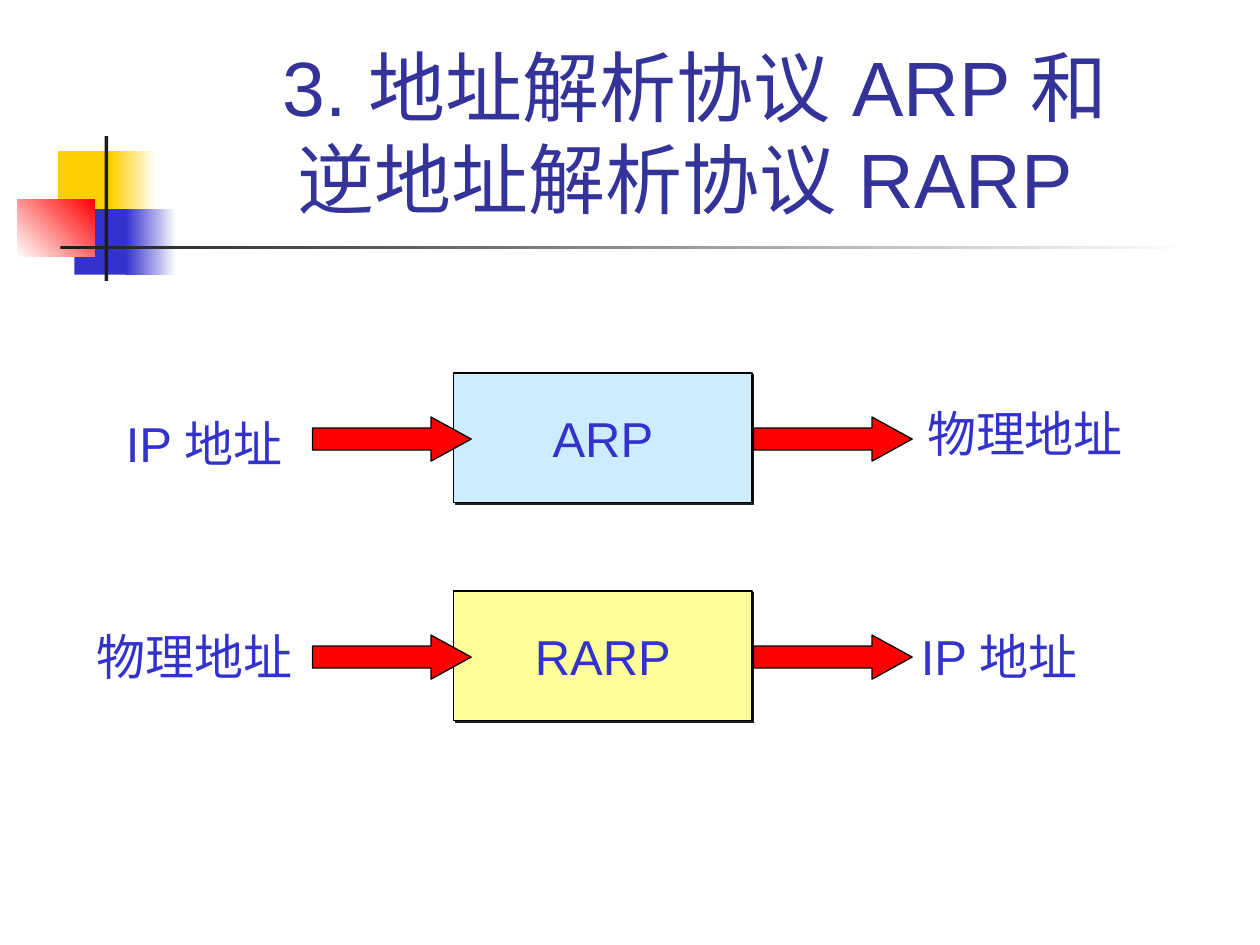
from lxml import etree
from pptx import Presentation
from pptx.dml.color import RGBColor
from pptx.enum.shapes import MSO_SHAPE
from pptx.enum.text import MSO_ANCHOR, MSO_AUTO_SIZE, PP_ALIGN
from pptx.oxml.ns import qn
from pptx.util import Inches, Pt

RECTANGLE, ARROW = MSO_SHAPE.RECTANGLE, MSO_SHAPE.RIGHT_ARROW
LEFT, CENTER = PP_ALIGN.LEFT, PP_ALIGN.CENTER
TOP, MIDDLE, BOTTOM = MSO_ANCHOR.TOP, MSO_ANCHOR.MIDDLE, MSO_ANCHOR.BOTTOM

FONT = "Arial"
COLORS = {
    "title": "333399", "blue": "3333CC", "gold": "FFCF01", "red": "FF0000",
    "dark": "1C1C1C", "white": "FFFFFF", "black": "000000",
    "sky": "CCECFF", "cream": "FFFF99",
}


def color(name):
    return RGBColor.from_string(COLORS[name])


def write_text(shape, text, size=28, ink="blue", align=LEFT, anchor=TOP, wrap=False):
    """Fill a shape with one formatted paragraph."""
    frame = shape.text_frame
    frame.auto_size = MSO_AUTO_SIZE.NONE
    frame.word_wrap = wrap
    frame.vertical_anchor = anchor
    para = frame.paragraphs[0]
    para.text = text
    para.alignment = align
    for span in para.runs:
        span.font.name = FONT
        span.font.size = Pt(size)
        span.font.color.rgb = color(ink)
        east_asian = etree.SubElement(span.font._element, qn("a:ea"))
        east_asian.set("typeface", FONT)


def add_block(page, box, fill, kind=RECTANGLE, fade_to=None, angle=0, outlined=False):
    """Add a flat or two-colour shape; box is left, top, width, height in inches."""
    shape = page.shapes.add_shape(kind, *map(Inches, box))
    shape.shadow.inherit = False
    if fade_to:
        shape.fill.gradient()
        shape.fill.gradient_angle = angle
        for stop, name in zip(shape.fill.gradient_stops, (fill, fade_to)):
            stop.color.rgb = color(name)
    else:
        shape.fill.solid()
        shape.fill.fore_color.rgb = color(fill)
    if outlined:
        shape.line.color.rgb = color("black")
        shape.line.width = Pt(0.75)
    else:
        shape.line.fill.background()
    return shape


def add_hard_shadow(shape):
    effects = shape._element.spPr.find(qn("a:effectLst"))
    shadow = etree.SubElement(effects, qn("a:outerShdw"), dist=str(Pt(1.4)),
                              dir="2700000", algn="ctr", rotWithShape="0")
    etree.SubElement(shadow, qn("a:srgbClr"), val=COLORS["dark"])


def add_label(page, box, text):
    label = page.shapes.add_textbox(*map(Inches, box))
    write_text(label, text)


def add_ornament(page, left, top):
    """Overlapping squares with a cross of two bars."""
    blocks = [
        ((0.32, 0.12, 0.48, 0.52), "gold", None, 0),
        ((0.74, 0.12, 0.36, 0.52), "gold", "white", 0),
        ((0.45, 0.58, 0.46, 0.52), "blue", None, 0),
        ((0.86, 0.58, 0.4, 0.52), "blue", "white", 0),
        ((0, 0.5, 0.61, 0.46), "white", "red", 45),
        ((0.69, 0, 0.03, 1.15), "dark", None, 0),
        ((0.34, 0.87, 9, 0.03), "dark", "white", 0),
    ]
    for (x, y, width, height), fill, fade_to, angle in blocks:
        add_block(page, (left + x, top + y, width, height), fill,
                  fade_to=fade_to, angle=angle)


def add_title(page, box, text):
    title = page.shapes.title
    title.left, title.top, title.width, title.height = map(Inches, box)
    write_text(title, text, size=44, ink="title", align=CENTER, anchor=BOTTOM, wrap=True)


def add_protocol(page, box, name, fill, source, target):
    """One row: source label, arrow, protocol box, arrow, target label."""
    left, top, width, height = box
    protocol = add_block(page, box, fill, outlined=True)
    add_hard_shadow(protocol)
    write_text(protocol, name, align=CENTER, anchor=MIDDLE)
    for arrow_left in (left - 1.12, left + width + 0.01):
        arrow = add_block(page, (arrow_left, top + 0.35, 1.26, 0.35), "red",
                          kind=ARROW, outlined=True)
        arrow.adjustments[0] = 0.5
        arrow.adjustments[1] = 0.91
    for text, x, y, label_width in (source, target):
        add_label(page, (x, top + y, label_width, 0.57), text)


def main():
    deck = Presentation()
    deck.slide_width, deck.slide_height = Inches(10), Inches(7.5)
    page = deck.slides.add_slide(deck.slide_layouts[5])

    # Heading
    add_ornament(page, 0.14, 1.08)
    add_title(page, (1.26, 0.23, 8.52, 1.6), "3. 地址解析协议 ARP 和\v逆地址解析协议 RARP ")

    # Protocol rows: label text, left, offset from the row top, width
    add_protocol(page, (3.6, 2.96, 2.37, 1.03), "ARP", "sky",
                 ("IP 地址", 0.9, 0.27, 1.54), ("物理地址", 7.26, 0.19, 1.75))
    add_protocol(page, (3.6, 4.69, 2.37, 1.03), "RARP", "cream",
                 ("物理地址", 0.67, 0.23, 1.75), ("IP 地址", 7.21, 0.23, 1.54))

    deck.save("out.pptx")


if __name__ == "__main__":
    main()
